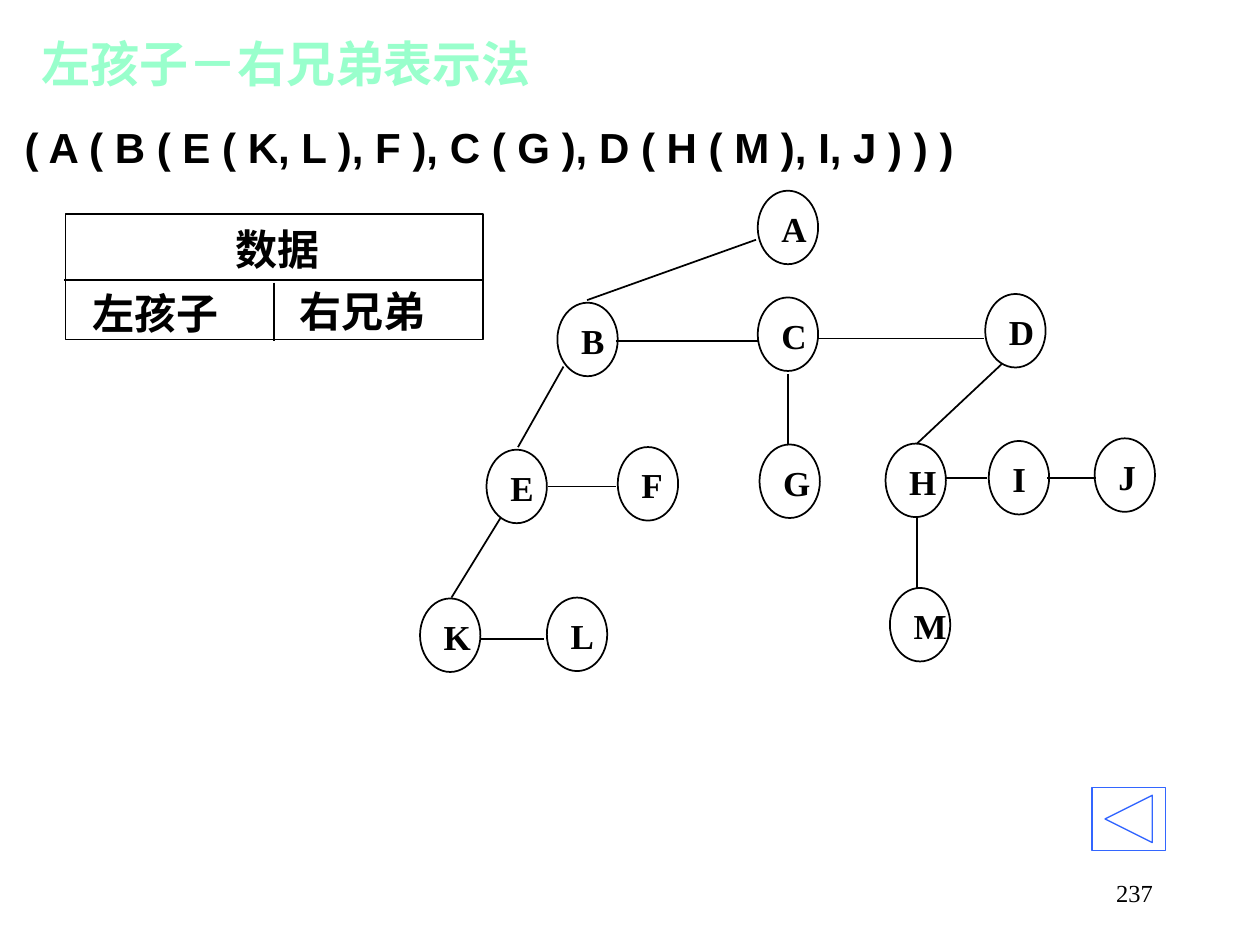
from lxml import etree
from pptx import Presentation
from pptx.dml.color import RGBColor
from pptx.enum import shapes, text
from pptx.oxml import ns
from pptx.util import Pt

BLACK = RGBColor(0, 0, 0)
MINT = RGBColor(0x99, 0xFF, 0xCC)
BLUE = RGBColor(0x33, 0x66, 0xFF)
SERIF = "Times New Roman"
LEFT, CENTER, RIGHT = text.PP_ALIGN.LEFT, text.PP_ALIGN.CENTER, text.PP_ALIGN.RIGHT
TOP, MIDDLE = text.MSO_ANCHOR.TOP, text.MSO_ANCHOR.MIDDLE

# Node positions and link ends, relative to the tree box
NODE_SIZE = (34.5, 42)
NODES = {
    "A": (193, 1), "B": (78.5, 65), "C": (193, 62), "D": (323, 60),
    "E": (38, 149), "F": (113, 147.5), "G": (194, 146), "H": (266, 145.5),
    "I": (325, 144), "J": (385.5, 142.5), "K": (0, 234), "L": (72.5, 233.5),
    "M": (268.5, 228),
}
CHILD_LINKS = [
    (192, 29, 95.5, 63.5), (82, 101.5, 56, 147.5), (46, 188, 18, 233.5),
    (210.5, 106, 210.5, 145.5), (332.5, 100, 284, 145.5), (284, 188, 284, 228),
]
SIBLING_LINKS = [
    (112, 87, 193.5, 87), (227.5, 85.5, 322.5, 85.5), (73, 170, 112, 170),
    (300.5, 165, 324, 165), (358.5, 165, 386.5, 165), (35, 257, 71, 257),
]


def write(shape, words, size, color=BLACK, font=SERIF, bold=True, align=LEFT, anchor=TOP):
    frame = shape.text_frame
    frame.word_wrap = True
    frame.auto_size = text.MSO_AUTO_SIZE.NONE
    frame.vertical_anchor = anchor
    paragraph = frame.paragraphs[0]
    paragraph.alignment = align
    run = paragraph.add_run()
    run.text = words
    run.font.name = font
    run.font.size = Pt(size)
    run.font.bold = bold
    run.font.color.rgb = color


def add_text(slide, box, words, size, **style):
    write(slide.shapes.add_textbox(*map(Pt, box)), words, size, **style)


def add_outline(slide, kind, box, color=BLACK, width=1):
    shape = slide.shapes.add_shape(kind, *map(Pt, box))
    shape.shadow.inherit = False
    shape.fill.background()
    shape.line.color.rgb = color
    shape.line.width = Pt(width)


def add_line(slide, x1, y1, x2, y2):
    line = slide.shapes.add_connector(
        shapes.MSO_CONNECTOR.STRAIGHT, Pt(x1), Pt(y1), Pt(x2), Pt(y2))
    line.line.color.rgb = BLACK
    line.line.width = Pt(1)
    etree.SubElement(line._element.spPr, ns.qn("a:effectLst"))


def place_heading(slide, box):
    title = slide.shapes.title
    title.left, title.top, title.width, title.height = map(Pt, box)
    write(title, "左孩子－右兄弟表示法", 28, color=MINT, anchor=MIDDLE)


def place_node_layout(slide, box):
    """Record with a data field above two link fields."""
    left, top, width, height = box
    middle, split = top + 37.5, left + 119
    add_outline(slide, shapes.MSO_SHAPE.RECTANGLE, box)
    add_line(slide, left - 1, middle, left + width, middle)
    add_line(slide, split, middle + 1.5, split, top + height + 1)
    add_text(slide, (left + 90, top + 1.5, 63, 36), "数据", 24)
    add_text(slide, (left + 8, top + 38, 87, 36), "左孩子", 24, align=CENTER)
    add_text(slide, (left + 126.5, top + 37, 90, 36), "右兄弟", 24)


def place_tree(slide, box):
    left, top = box[:2]
    for x1, y1, x2, y2 in CHILD_LINKS + SIBLING_LINKS:
        add_line(slide, left + x1, top + y1, left + x2, top + y2)
    for name, (x, y) in NODES.items():
        add_outline(slide, shapes.MSO_SHAPE.OVAL, (left + x, top + y, *NODE_SIZE))
        add_text(slide, (left + x + 6.5, top + y + 6, 36, 31), name, 20)


def place_footer(slide, box):
    """Back button above the page number."""
    left, top, width, height = box
    add_outline(slide, shapes.MSO_SHAPE.ACTION_BUTTON_BACK_OR_PREVIOUS,
                (left + width - 42, top, 42, 36), BLUE, 0.75)
    add_text(slide, (left, top + height - 36, width, 36), "237", 14,
             bold=False, align=RIGHT, anchor=MIDDLE)


def main():
    presentation = Presentation()
    presentation.slide_width, presentation.slide_height = Pt(720), Pt(540)
    slide = presentation.slides.add_slide(presentation.slide_layouts[5])
    place_heading(slide, (16.5, 12, 313, 48))
    # Tree written as a nested list
    add_text(slide, (7, 66, 575, 36),
             "( A ( B ( E ( K, L ), F ), C ( G ), D ( H ( M ), I, J ) ) )", 24, font="Arial")
    place_node_layout(slide, (37.5, 122.5, 238.5, 71.5))
    place_tree(slide, (240, 108, 420, 276))
    place_footer(slide, (516, 450, 150, 78))
    presentation.save("out.pptx")


if __name__ == "__main__":
    main()
